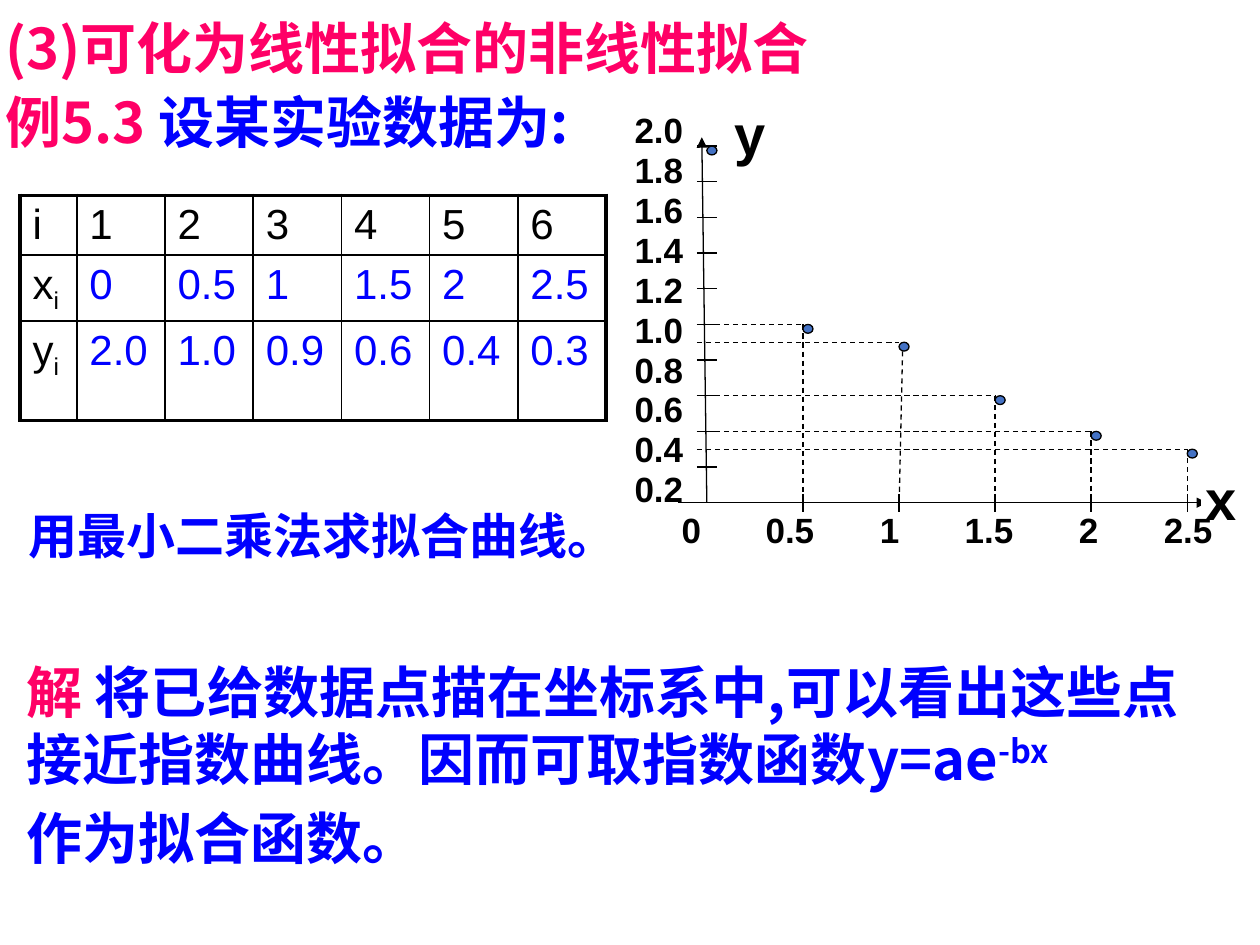
import lxml.etree
import pptx
import pptx.dml.color
import pptx.enum.dml
import pptx.enum.shapes
import pptx.enum.text
import pptx.oxml.ns
import pptx.util

Inches, Pt = pptx.util.Inches, pptx.util.Pt
ALIGN, ANCHOR = pptx.enum.text.PP_ALIGN, pptx.enum.text.MSO_ANCHOR
SHAPE = pptx.enum.shapes.MSO_SHAPE
qn = pptx.oxml.ns.qn
BLACK, WHITE, BLUE, PINK, DOT = "000000", "FFFFFF", "0000FF", "FF0066", "4472C4"
CJK, LATIN = "Noto Sans CJK SC", "Arial"

# Content: paragraphs are lists of (text, colour, baseline percent)
heading = [[("(3)可化为线性拟合的非线性拟合", PINK, 0)],
           [("例5.3 ", PINK, 0), ("设某实验数据为:", BLUE, 0)]]
task = [[("用最小二乘法求拟合曲线。", BLUE, 0)]]
solution = [[("解", PINK, 0),
             (" 将已给数据点描在坐标系中,可以看出这些点接近指数曲线。因而可取指数函数y=ae".replace(",", ","), BLUE, 0),
             ("-bx", BLUE, 30)],
            [("作为拟合函数。", BLUE, 0)]]
x_values = [0, 0.5, 1, 1.5, 2, 2.5]
y_values = [2.0, 1.0, 0.9, 0.6, 0.4, 0.3]
x_labels = [f"{x:g}" for x in x_values]
table_rows = [("i", "", BLACK, [str(n) for n in range(1, 7)]),
              ("x", "i", BLUE, x_labels),
              ("y", "i", BLUE, [f"{y:.1f}" for y in y_values])]
column_widths = [0.45] + [0.7] * 6
row_heights = [0.44, 0.44, 0.79]
y_steps = [n / 5 for n in range(1, 11)]

# Plot scale
ORIGIN_X, ORIGIN_Y = 5.61, 3.99
X_UNIT, Y_UNIT = 1.525, 1.415
TICK = 0.08


def place_x(value):
    return ORIGIN_X + X_UNIT * value


def place_y(value):
    return ORIGIN_Y - Y_UNIT * value


def color(value):
    return pptx.dml.color.RGBColor.from_string(value)


def assign(target, values):
    for name, value in values.items():
        setattr(target, name, value)


def write(frame, paragraphs, size, font=LATIN, bold=True, **para_format):
    for index, spans in enumerate(paragraphs):
        para = frame.paragraphs[0] if index == 0 else frame.add_paragraph()
        assign(para, para_format)
        for text, tint, baseline in spans:
            span = para.add_run()
            span.text = text
            assign(span.font, {"size": Pt(size), "name": font, "bold": bold})
            span.font.color.rgb = color(tint)
            props = span.font._element
            lxml.etree.SubElement(props, qn("a:ea"), typeface=CJK)
            if baseline:
                props.set("baseline", str(baseline * 1000))


def add_line(start, end, dashed=False, arrow=False):
    points = [Inches(value) for value in (*start, *end)]
    line = page.shapes.add_connector(pptx.enum.shapes.MSO_CONNECTOR.STRAIGHT, *points)
    line.line.color.rgb = color(BLACK)
    line.line.width = Pt(0.75)
    if dashed:
        line.line.dash_style = pptx.enum.dml.MSO_LINE.DASH
    if arrow:
        lxml.etree.SubElement(line.line._get_or_add_ln(), qn("a:tailEnd"), type="triangle")
    lxml.etree.SubElement(line._element.spPr, qn("a:effectLst"))


def add_filled(kind, place, fill, outline):
    shape = page.shapes.add_shape(kind, *map(Inches, place))
    shape.shadow.inherit = False
    shape.fill.solid()
    shape.fill.fore_color.rgb = color(fill)
    shape.line.color.rgb = color(outline)
    shape.line.width = Pt(0.75)
    return shape


def add_label(place, lines, size, **para_format):
    frame = add_filled(SHAPE.RECTANGLE, place, WHITE, WHITE).text_frame
    assign(frame, {"word_wrap": False, "vertical_anchor": ANCHOR.MIDDLE})
    write(frame, [[(line, BLACK, 0)] for line in lines], size,
          **{"alignment": ALIGN.CENTER, **para_format})
    return frame


def add_text(place, paragraphs, size, font):
    frame = page.shapes.add_textbox(*map(Inches, place)).text_frame
    frame.word_wrap = True
    write(frame, paragraphs, size, font, space_before=Pt(size * 0.2))


def set_borders(cell, widths):
    props = cell._tc.get_or_add_tcPr()
    for index, (side, width) in enumerate(widths.items()):
        border = lxml.etree.Element(qn("a:ln" + side), w=str(Pt(width)))
        fill = lxml.etree.SubElement(border, qn("a:solidFill"))
        lxml.etree.SubElement(fill, qn("a:srgbClr"), val=BLACK)
        props.insert(index, border)


deck = pptx.Presentation()
assign(deck, {"slide_width": Inches(10), "slide_height": Inches(7.5)})
page = deck.slides.add_slide(deck.slide_layouts[0])

# Heading
title, subtitle = page.placeholders
title._element.getparent().remove(title._element)
assign(subtitle, {"left": Inches(-0.06), "top": Inches(0.12),
                  "width": Inches(10.04), "height": Inches(1.26)})
assign(subtitle.text_frame, {"vertical_anchor": ANCHOR.TOP, "word_wrap": True})
write(subtitle.text_frame, heading, 32, CJK, alignment=ALIGN.LEFT,
      line_spacing=0.9, space_before=Pt(7.5))

# Data table
table = page.shapes.add_table(3, 7, *map(Inches, (0.16, 1.55, 4.65, 1.67))).table
assign(table, {"first_row": False, "horz_banding": False})
for column, width in zip(table.columns, column_widths):
    column.width = Inches(width)
for r, (name, index_mark, tint, values) in enumerate(table_rows):
    table.rows[r].height = Inches(row_heights[r])
    head = [(name, BLACK, 0)] + ([(index_mark, BLACK, -25)] if index_mark else [])
    value_tint = BLACK if r == 0 else tint
    for c, spans in enumerate([head] + [[(value, value_tint, 0)] for value in values]):
        cell = table.cell(r, c)
        cell.fill.background()
        write(cell.text_frame, [spans], 24, bold=False)
        outer = {"L": c == 0, "R": c == 6, "T": r == 0, "B": r == 2}
        set_borders(cell, {side: 2.25 if edge else 1 for side, edge in outer.items()})

# Axis labels
add_label((5, 1.09, 0.46, 2.76), [f"{y:.1f}" for y in reversed(y_steps)], 20, line_spacing=0.95)
x_frame = add_label((5.41, 4.06, 4.3, 0.28), ["\t".join(x_labels)], 20, alignment=ALIGN.LEFT)
assign(x_frame, {"margin_left": 0, "margin_right": 0, "word_wrap": True})
tab_list = lxml.etree.SubElement(x_frame.paragraphs[0]._p.get_or_add_pPr(), qn("a:tabLst"))
for n in range(1, len(x_labels)):
    lxml.etree.SubElement(tab_list, qn("a:tab"), pos=str(Inches(0.07 + 0.79 * n)), algn="ctr")

# Axes and ticks
add_line((5.38, ORIGIN_Y), (9.58, ORIGIN_Y), arrow=True)
add_line((ORIGIN_X, ORIGIN_Y), (5.57, 1.09), arrow=True)
for x in x_values[1:]:
    add_line((place_x(x), ORIGIN_Y - 0.07), (place_x(x), ORIGIN_Y + 0.07))
for y in y_steps:
    add_line((ORIGIN_X - TICK, place_y(y)), (ORIGIN_X + TICK, place_y(y)))
add_label((9.54, 3.85, 0.3, 0.21), ["x"], 32)
add_label((5.8, 0.95, 0.3, 0.21), ["y"], 32)

# Data points with dashed guides
for x, y in zip(x_values, y_values):
    left, top = place_x(x), place_y(y)
    if x:
        add_line((ORIGIN_X - TICK, top), (left, top), dashed=True)
        add_line((left + (0.03 if x == 1 else 0), top), (left, ORIGIN_Y + 0.07), dashed=True)
    add_filled(SHAPE.OVAL, (left, top, 0.08, 0.07), DOT, BLACK)

# Task and solution
add_text((0.13, 3.96, 4.95, 0.92), task, 28, LATIN)
add_text((0.11, 5.17, 9.5, 1.87), solution, 32, CJK)

deck.save("out.pptx")
